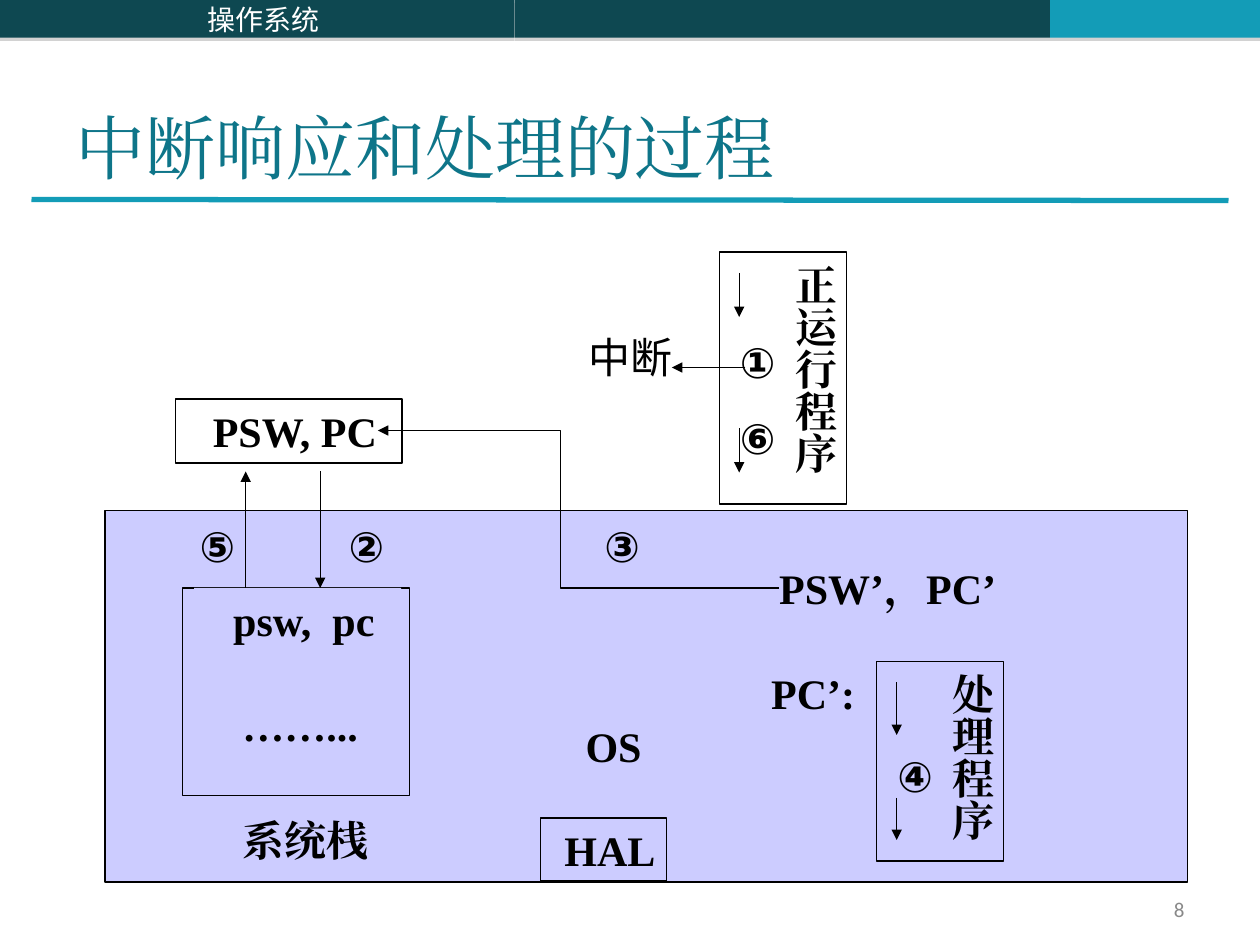
import pptx
import pptx.util
import pptx.dml.color
import pptx.enum.shapes
import pptx.enum.text
import pptx.oxml.ns
from lxml import etree

COLORS = {"ink": "000000", "white": "FFFFFF", "lilac": "CCCCFF", "dark": "0E4851",
          "teal": "139CB7", "title": "0E7589", "gray": "898989", "shadow": "808080"}
SERIF, SANS, HEADER_FONT, NUMBER_FONT = "Times New Roman", "Karla", "Noto Sans CJK SC", "Calibri"
COLUMNS, ROWS = 120, 90

TITLE = "中断响应和处理的过程"
HEADER = "操作系统"
PAGE_NUMBER = "8"
HEADER_BARS = [(49, 51, "dark", ""), (100, 20, "teal", ""), (0, 49, "dark", HEADER)]

# (column, row, width, height), fill, outlined, runs as (text, extra spacing in points), font, bold
BOXES = [
    ((10, 48.6, 103.1, 35.4), "lilac", True, [], SERIF, True),
    ((71.4, 53, 25.1, 6), "lilac", False, [("PSW’，PC’", 0)], SERIF, True),
    ((71.4, 63, 10.9, 6), "lilac", False, [("PC’:", 0)], SERIF, True),
    ((16.7, 38, 21.6, 6.1), "white", True, [("PSW, PC", 0)], SERIF, True),
    ((17.4, 56, 21.6, 19.8), "lilac", True, [], SERIF, True),
    ((20.4, 77, 16.3, 6), "lilac", False, [("系统桟", 0)], SERIF, True),
    ((18.5, 56, 19.7, 6), "lilac", False, [("psw,", 0), (" ", 6), ("pc", 0)], SERIF, True),
    ((20.4, 66, 15.2, 6), "lilac", False, [("……...", 0)], SERIF, True),
    ((31.4, 49, 5.8, 6), "lilac", False, [("②", 0)], SANS, True),
    ((17.4, 49, 5.4, 6), "lilac", False, [("⑤", 0)], SANS, True),
    ((55.4, 49, 6.5, 6), "lilac", False, [("③", 0)], SANS, True),
    ((51.5, 77.9, 12, 6), "lilac", True, [("HAL", 0)], SERIF, True),
    ((52.4, 68, 10.9, 6), "lilac", False, [("OS", 0)], SERIF, True),
    ((54, 31, 11, 6), None, False, [("中断", 0)], SANS, False),
]
PROGRAMS = [
    ((68.5, 24, 12.1, 24), "white", "正运行程序", [("①", 16), ("⑥", 0)], 0.59),
    ((83.5, 63, 12.1, 19), "lilac", "处理程序", [("④", 0)], 0.63),
]
ARROWS = [
    ((70.4, 26), (70.4, 30.2)), ((70.4, 40.8), (70.4, 45)),
    ((85.4, 65), (85.4, 70)), ((85.4, 76), (85.4, 80)),
    ((30.5, 44.9), (30.5, 56)), ((23.4, 56), (23.4, 44.9)),
    ((71, 35), (64, 35)),
]
VECTOR_LOAD = [(74.2, 56), (53.4, 56), (53.4, 41), (36, 41)]

deck = pptx.Presentation()
deck.slide_width, deck.slide_height = pptx.util.Inches(10), pptx.util.Inches(7.5)
slide = deck.slides.add_slide(deck.slide_layouts[5])
shapes = slide.shapes


def place(column, row):
    return round(column * deck.slide_width / COLUMNS), round(row * deck.slide_height / ROWS)


def rgb(color):
    return pptx.dml.color.RGBColor.from_string(COLORS[color])


def child(parent, tag, **attributes):
    return etree.SubElement(parent, pptx.oxml.ns.qn(tag), attributes)


def set_insets(frame, left, top, right, bottom):
    frame.margin_left, frame.margin_top = pptx.util.Inches(left), pptx.util.Inches(top)
    frame.margin_right, frame.margin_bottom = pptx.util.Inches(right), pptx.util.Inches(bottom)


def add_runs(paragraph, runs, size, font, color="ink", bold=False):
    paragraph.alignment = paragraph.alignment or pptx.enum.text.PP_ALIGN.LEFT
    for text, spacing in runs:
        run = paragraph.add_run()
        run.text = text
        run.font.size, run.font.name, run.font.bold = pptx.util.Pt(size), font, bold
        run.font.color.rgb = rgb(color)
        properties = run.font._element
        child(properties, "a:ea", typeface=font)
        if spacing:
            properties.set("spc", str(spacing * 100))


def add_box(area, fill, outlined):
    box = shapes.add_shape(pptx.enum.shapes.MSO_SHAPE.RECTANGLE, *place(*area[:2]), *place(*area[2:]))
    box.shadow.inherit = False
    if fill:
        box.fill.solid()
        box.fill.fore_color.rgb = rgb(fill)
    else:
        box.fill.background()
    if outlined:
        draw_line(box.line)
    else:
        box.line.fill.background()
    box.text_frame.word_wrap = True
    box.text_frame.vertical_anchor = pptx.enum.text.MSO_ANCHOR.TOP
    set_insets(box.text_frame, 0.1, 0.05, 0, 0.05)
    return box


def draw_line(line, color="ink", width=0.75, arrow=False):
    line.color.rgb = rgb(color)
    line.width = pptx.util.Pt(width)
    if arrow:
        child(line._get_or_add_ln(), "a:tailEnd", type="triangle")


def add_line(start, end, **style):
    connector = shapes.add_connector(pptx.enum.shapes.MSO_CONNECTOR.STRAIGHT, *place(*start), *place(*end))
    draw_line(connector.line, **style)
    child(connector._element.spPr, "a:effectLst")


for column, width, color, label in HEADER_BARS:
    bar = add_box((column, 0, width, 3.6), color, False)
    effects = bar._element.spPr.find(pptx.oxml.ns.qn("a:effectLst"))
    shadow = child(effects, "a:outerShdw", dist=str(pptx.util.Pt(1.8)), dir="5400000", rotWithShape="0")
    child(child(shadow, "a:srgbClr", val=COLORS["shadow"]), "a:alpha", val="35000")
    bar.text_frame.vertical_anchor = pptx.enum.text.MSO_ANCHOR.MIDDLE
    if label:
        add_runs(bar.text_frame.paragraphs[0], [(label, 0)], 16, HEADER_FONT, "white")
add_line((3, 19), (117, 19.1), color="teal", width=3)

title = shapes.title
title.left, title.top = place(6, 3.6)
title.width, title.height = place(108, 15)
title.text_frame.auto_size = pptx.enum.text.MSO_AUTO_SIZE.NONE
title.text_frame.vertical_anchor = pptx.enum.text.MSO_ANCHOR.BOTTOM
add_runs(title.text_frame.paragraphs[0], [(TITLE, 0)], 40, SERIF, "title")

page = shapes.add_textbox(*place(86, 85), *place(28, 3.2)).text_frame
page.word_wrap = True
page.vertical_anchor = pptx.enum.text.MSO_ANCHOR.MIDDLE
page.paragraphs[0].alignment = pptx.enum.text.PP_ALIGN.RIGHT
add_runs(page.paragraphs[0], [(PAGE_NUMBER, 0)], 12, NUMBER_FONT, "gray")

for area, fill, outlined, runs, font, bold in BOXES:
    box = add_box(area, fill, outlined)
    add_runs(box.text_frame.paragraphs[0], runs, 24, font, bold=bold)

for area, fill, name, steps, indent in PROGRAMS:
    frame = add_box(area, fill, True).text_frame
    set_insets(frame, 0.05, 0.1, 0.05, 0.1)
    frame._txBody.bodyPr.set("vert", "eaVert")
    add_runs(frame.paragraphs[0], [(name, 0)], 24, SERIF, bold=True)
    step_line = frame.add_paragraph()
    step_line.line_spacing, step_line.space_before = 0.5, pptx.util.Pt(15)
    step_line._p.get_or_add_pPr().set("marL", str(pptx.util.Inches(indent)))
    add_runs(step_line, steps, 24, SANS, bold=True)

for start, end in ARROWS:
    add_line(start, end, arrow=True)

corners = [place(*corner) for corner in VECTOR_LOAD]
builder = shapes.build_freeform(*corners[0])
builder.add_line_segments(corners[1:], close=False)
vector_load = builder.convert_to_shape()
vector_load.shadow.inherit = False
vector_load.fill.background()
draw_line(vector_load.line, arrow=True)

deck.save("out.pptx")
